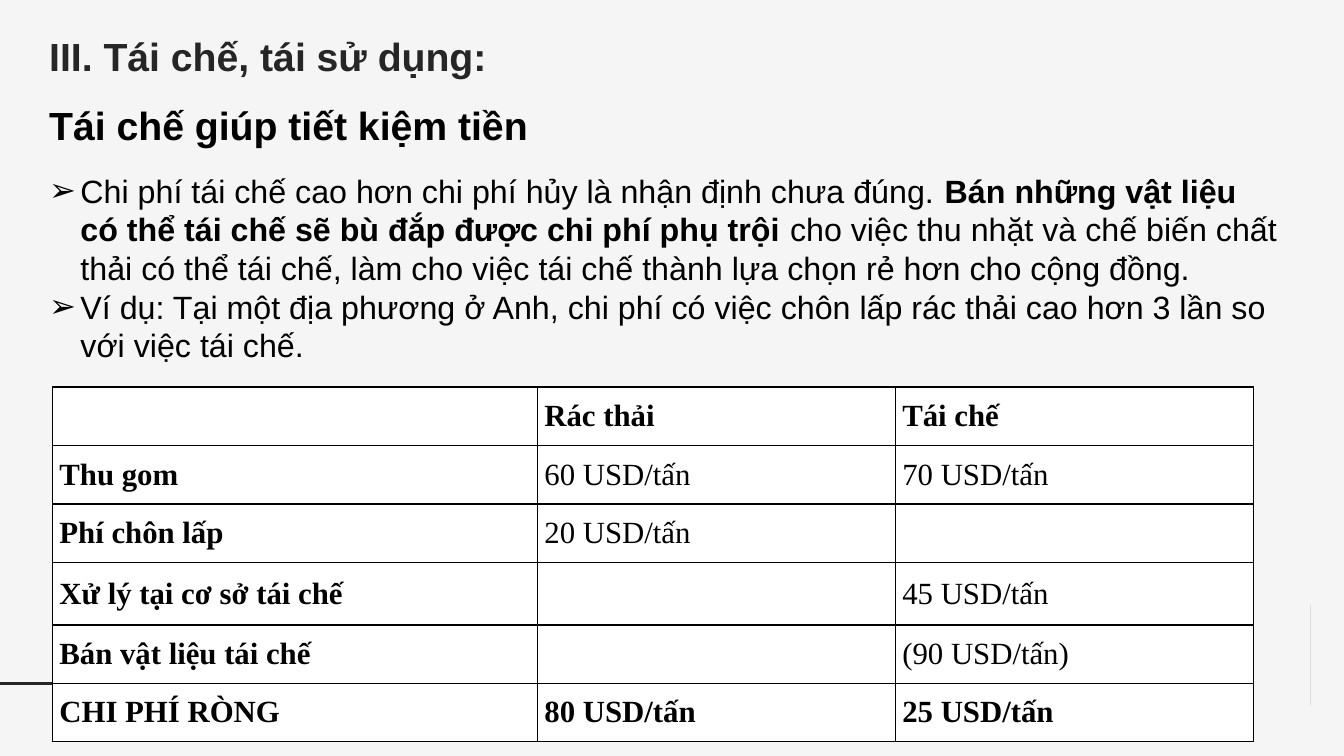
from math import cos, pi, sin

from lxml import etree
from pptx import Presentation
from pptx.dml.color import RGBColor
from pptx.enum.shapes import MSO_CONNECTOR
from pptx.enum.text import MSO_ANCHOR
from pptx.oxml.ns import qn
from pptx.util import Inches, Pt

DARK, BLACK, WHITE, PAPER = "262626", "000000", "FFFFFF", "F5F5F5"

TITLE = "III. Tái chế, tái sử dụng:"
HEADING = "Tái chế giúp tiết kiệm tiền"
BULLETS = [
    [
        ("Chi phí tái chế cao hơn chi phí hủy là nhận định chưa đúng. ", False),
        ("Bán những vật liệu có thể tái chế sẽ bù đắp được chi phí phụ trội ", True),
        ("cho việc thu nhặt và chế biến chất thải có thể tái chế, "
         "làm cho việc tái chế thành lựa chọn rẻ hơn cho cộng đồng.", False),
    ],
    [
        ("Ví dụ: Tại một địa phương ở Anh, chi phí có việc chôn lấp rác thải "
         "cao hơn 3 lần so với việc tái chế.", False),
    ],
]
COSTS = [
    ["", "Rác thải", "Tái chế"],
    ["Thu gom", "60 USD/tấn", "70 USD/tấn"],
    ["Phí chôn lấp", "20 USD/tấn", ""],
    ["Xử lý tại cơ sở tái chế", "", "45 USD/tấn"],
    ["Bán vật liệu tái chế", "", "(90 USD/tấn)"],
    ["CHI PHÍ RÒNG", "80 USD/tấn", "25 USD/tấn"],
]
COLUMN_WIDTHS = [4.81, 3.55, 3.55]
ROW_HEIGHTS = [0.58, 0.58, 0.58, 0.62, 0.58, 0.58]


def paint(color_format, color):
    color_format.rgb = RGBColor.from_string(color)


def fill_solid(fill, color):
    fill.solid()
    paint(fill.fore_color, color)


def style(span, size, color, bold, name="Arial"):
    span.font.name = name
    span.font.size = Pt(size)
    span.font.bold = bold
    paint(span.font.color, color)


def add_text_box(slide, left, top, width, height):
    box = slide.shapes.add_textbox(
        Inches(left), Inches(top), Inches(width), Inches(height))
    box.text_frame.word_wrap = True
    return box.text_frame


def add_half_disc(slide, center_x, center_y, radius, steps=48):
    angles = [pi / 2 + pi * step / steps for step in range(steps + 1)]
    points = [(center_x + radius * cos(angle), center_y - radius * sin(angle))
              for angle in angles]
    builder = slide.shapes.build_freeform(*points[0], scale=Inches(1))
    builder.add_line_segments(points[1:], close=True)
    disc = builder.convert_to_shape()
    disc.shadow.inherit = False
    fill_solid(disc.fill, DARK)
    disc.line.fill.background()


def add_rule(slide, left, top, width):
    rule = slide.shapes.add_connector(
        MSO_CONNECTOR.STRAIGHT, Inches(left), Inches(top),
        Inches(left + width), Inches(top))
    paint(rule.line.color, DARK)
    rule.line.width = Pt(2)
    etree.SubElement(rule._element.spPr, qn("a:effectLst"))


def add_title(slide, left, top, width, height):
    para = add_text_box(slide, left, top, width, height).paragraphs[0]
    para.text = TITLE
    para.line_spacing = 0.9
    style(para.runs[0], 28, DARK, True)


def set_bullet(para, indent):
    properties = para._p.get_or_add_pPr()
    properties.set("marL", str(Inches(indent)))
    properties.set("indent", str(-Inches(indent)))
    etree.SubElement(properties, qn("a:buFont"), typeface="Arial")
    etree.SubElement(properties, qn("a:buChar"), char="➢")


def add_body(slide, left, top, width, height):
    frame = add_text_box(slide, left, top, width, height)
    heading = frame.paragraphs[0]
    heading.text = HEADING
    heading.space_after = Pt(16)
    style(heading.runs[0], 28, BLACK, True)
    for spans in BULLETS:
        para = frame.add_paragraph()
        set_bullet(para, 0.31)
        for text, bold in spans:
            span = para.add_run()
            span.text = text
            style(span, 23, BLACK, bold)


def set_borders(cell, color, width):
    properties = cell._tc.get_or_add_tcPr()
    for position, side in enumerate(("a:lnL", "a:lnR", "a:lnT", "a:lnB")):
        line = etree.Element(qn(side), w=str(Pt(width)))
        fill = etree.SubElement(line, qn("a:solidFill"))
        etree.SubElement(fill, qn("a:srgbClr"), val=color)
        properties.insert(position, line)


def add_cost_table(slide, left, top):
    table = slide.shapes.add_table(
        len(COSTS), len(COLUMN_WIDTHS), Inches(left), Inches(top),
        Inches(sum(COLUMN_WIDTHS)), Inches(sum(ROW_HEIGHTS))).table
    table.first_row = table.horz_banding = False
    for column, width in zip(table.columns, COLUMN_WIDTHS):
        column.width = Inches(width)
    for row, height in zip(table.rows, ROW_HEIGHTS):
        row.height = Inches(height)
    last = len(COSTS) - 1
    for r, texts in enumerate(COSTS):
        for c, text in enumerate(texts):
            cell = table.cell(r, c)
            fill_solid(cell.fill, WHITE)
            set_borders(cell, BLACK, 1)
            cell.vertical_anchor = MSO_ANCHOR.MIDDLE
            cell.margin_left = cell.margin_right = Inches(0.07)
            cell.margin_top = cell.margin_bottom = Inches(0.06)
            para = cell.text_frame.paragraphs[0]
            para.text = text
            for span in para.runs:
                style(span, 22, BLACK, r in (0, last) or c == 0, "Times New Roman")


def main():
    deck = Presentation()
    deck.slide_width, deck.slide_height = Inches(13.33), Inches(7.5)
    slide = deck.slides.add_slide(deck.slide_layouts[6])
    fill_solid(slide.background.fill, PAPER)
    add_half_disc(slide, 13.33, 6.33, 0.45)
    add_rule(slide, 0, 6.78, 4.92)
    add_title(slide, 0.39, 0.32, 4.96, 0.64)
    add_body(slide, 0.39, 0.96, 12.4, 2.74)
    add_cost_table(slide, 0.52, 3.84)
    deck.save("out.pptx")


if __name__ == "__main__":
    main()
